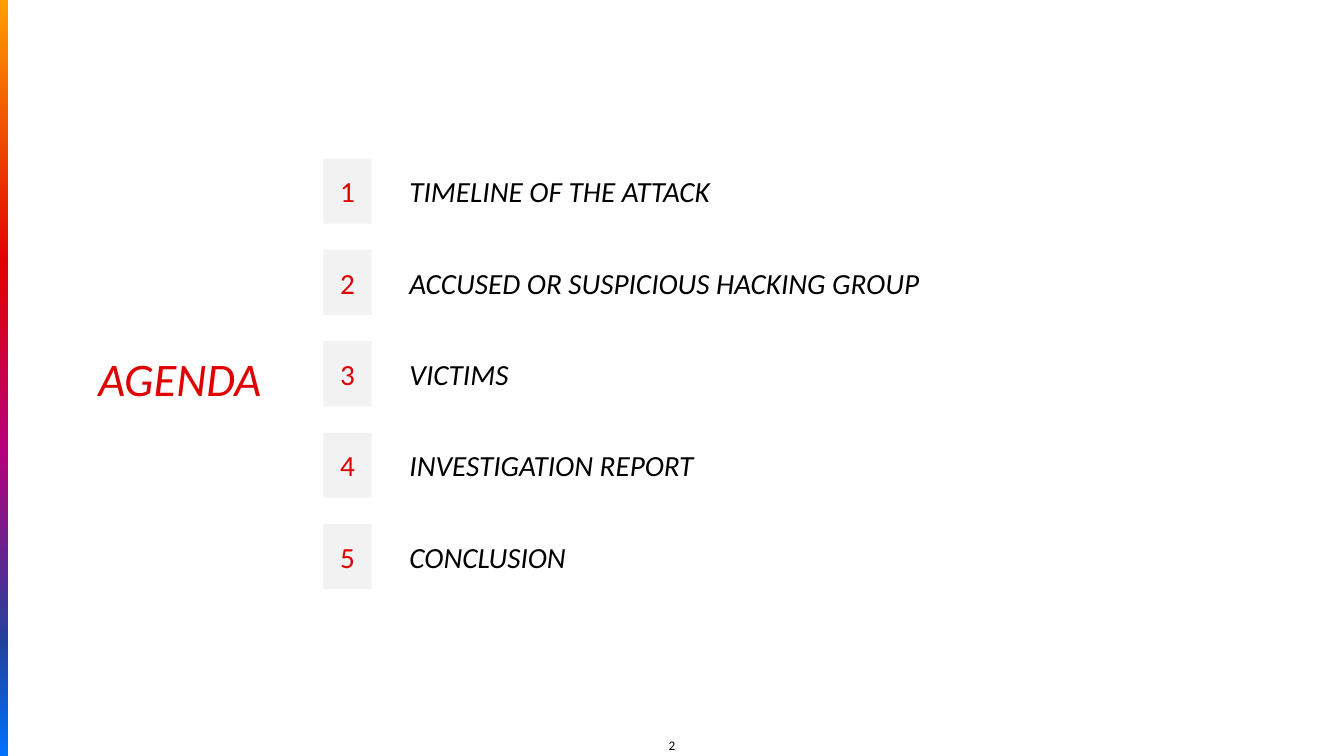
"""Builds the agenda slide with five numbered topics."""
from lxml import etree
from pptx import Presentation
from pptx.dml.color import RGBColor
from pptx.enum.shapes import MSO_SHAPE
from pptx.enum.text import MSO_ANCHOR, PP_ALIGN
from pptx.oxml.ns import qn
from pptx.util import Inches, Pt

RECTANGLE = MSO_SHAPE.RECTANGLE
LEFT, CENTER, RIGHT = PP_ALIGN.LEFT, PP_ALIGN.CENTER, PP_ALIGN.RIGHT
MIDDLE, BOTTOM = MSO_ANCHOR.MIDDLE, MSO_ANCHOR.BOTTOM

COLORS = {
    "orange": "FF9E00",
    "red": "E10000",
    "magenta": "B5007D",
    "navy": "21429C",
    "blue": "0071FF",
    "black": "000000",
    "gray": "BFBFBF",
}
SPECTRUM = [(0, "orange"), (35, "red"), (60, "magenta"), (85, "navy"), (100, "blue")]
TOPICS = [
    "TIMELINE OF THE ATTACK",
    "ACCUSED OR SUSPICIOUS HACKING GROUP",
    "VICTIMS",
    "INVESTIGATION REPORT",
    "CONCLUSION",
]
FIRST_TOP, ROW_STEP, ROW_HEIGHT = 1.51, 0.87, 0.62


class AgendaPage:
    """Holds the style and the current slide."""

    font_name = "Calibri"

    def __init__(self, page):
        self.page = page

    def spectrum(self, fill, parent):
        """Fill with the five-colour gradient."""
        fill.gradient()
        fill.gradient_angle = 0
        stops = parent.find(qn("a:gradFill")).find(qn("a:gsLst"))
        for stop in list(stops):
            stops.remove(stop)
        for percent, name in SPECTRUM:
            stop = etree.SubElement(stops, qn("a:gs"), pos=str(percent * 1000))
            etree.SubElement(stop, qn("a:srgbClr"), val=COLORS[name])

    def rectangle(self, left, top, width, height):
        """Add a plain rectangle without line or shadow."""
        shape = self.page.shapes.add_shape(
            RECTANGLE, Inches(left), Inches(top), Inches(width), Inches(height))
        shape.shadow.inherit = False
        shape.line.fill.background()
        return shape

    def set_text(self, shape, text, size, align=LEFT, anchor=MIDDLE, inset=(0, 0),
                 italic=False, colorful=False, wrap=True):
        """Put one styled paragraph into a shape."""
        frame = shape.text_frame
        frame.text = text
        frame.word_wrap = wrap
        frame.vertical_anchor = anchor
        frame.margin_left = frame.margin_right = Inches(inset[0])
        frame.margin_top = frame.margin_bottom = Inches(inset[1])
        para = frame.paragraphs[0]
        para.alignment = align
        span = para.runs[0]
        span.font.name = self.font_name
        span.font.size = Pt(size)
        span.font.italic = italic
        if colorful:
            self.spectrum(span.font.fill, span._r.rPr)
        else:
            span.font.color.rgb = RGBColor.from_string(COLORS["black"])

    def text_box(self, left, top, width, height, text, size, **style):
        """Add a text box."""
        box = self.page.shapes.add_textbox(
            Inches(left), Inches(top), Inches(width), Inches(height))
        self.set_text(box, text, size, **style)

    def side_bar(self):
        """Add the gradient bar along the left edge."""
        bar = self.rectangle(-3.56, 3.56, 7.2, 0.08)
        bar.rotation = 90
        self.spectrum(bar.fill, bar._element.spPr)

    def number_tile(self, top, number):
        """Add a translucent tile with a topic number."""
        tile = self.rectangle(3.08, top, 0.46, ROW_HEIGHT)
        tile.fill.solid()
        tile.fill.fore_color.rgb = RGBColor.from_string(COLORS["gray"])
        color = tile._element.spPr.find(qn("a:solidFill"))[0]
        etree.SubElement(color, qn("a:alpha"), val="20000")
        self.set_text(tile, str(number), 20, align=CENTER, inset=(0.1, 0), colorful=True)

    def topic(self, number, title):
        """Add one numbered agenda row."""
        top = FIRST_TOP + (number - 1) * ROW_STEP
        self.text_box(3.9, top, 8.1, ROW_HEIGHT, title, 20, italic=True)
        self.number_tile(top, number)


def main():
    deck = Presentation()
    deck.slide_width, deck.slide_height = Inches(12.8), Inches(7.2)
    agenda = AgendaPage(deck.slides.add_slide(deck.slide_layouts[6]))
    agenda.side_bar()
    agenda.text_box(6.32, 7.02, 0.16, 0.15, "2", 9, align=CENTER, anchor=BOTTOM, wrap=False)
    agenda.text_box(0.64, 3.28, 1.95, 0.64, "AGENDA", 32, align=RIGHT,
                    inset=(0.1, 0.05), italic=True, colorful=True)
    for number, title in enumerate(TOPICS, 1):
        agenda.topic(number, title)
    deck.save("out.pptx")


if __name__ == "__main__":
    main()
